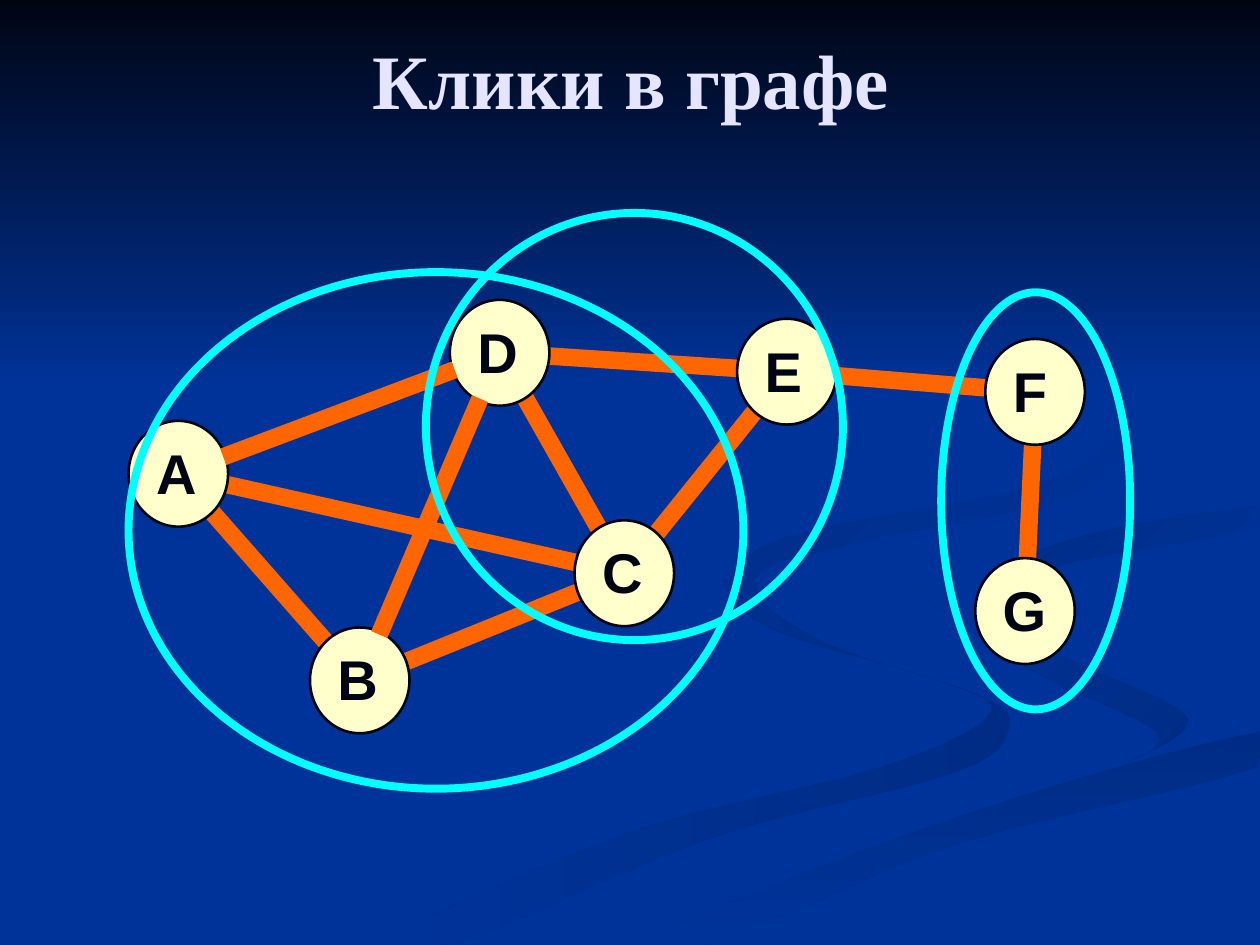
from dataclasses import dataclass

from lxml.etree import SubElement
from pptx import Presentation
from pptx.dml.color import RGBColor
from pptx.enum.shapes import MSO_CONNECTOR, MSO_SHAPE
from pptx.enum.text import MSO_ANCHOR, PP_ALIGN
from pptx.oxml.ns import qn
from pptx.util import Inches, Pt


@dataclass(frozen=True)
class Theme:
    blue: str = "003399"
    shade: str = "002C85"
    night: str = "000514"
    title: str = "E5E5FF"
    edge: str = "FF6600"
    node: str = "FFFFCC"
    clique: str = "00FFFF"
    serif: str = "Times New Roman"
    sans: str = "Arial"
    head: int = 44
    label: int = 32


THEME = Theme()
WIDE, HIGH = 10, 7.5
NODE_W, NODE_H = 0.79, 0.84
STEPS = 5  # curve points between two guide points

# Ribbons: guide points, first colour, last colour, clockwise angle
RIBBONS = [
    ([(7.81, 5.53), (6.54, 5.1), (5.75, 4.59), (6.11, 4.99), (7.41, 5.39),
      (7.86, 5.66), (6.99, 6.09), (4.99, 6.61), (3, 7.49), (3.61, 7.49),
      (5.64, 6.65), (7.56, 6.14), (8, 5.81)], THEME.shade, THEME.blue, 180),
    ([(9.43, 5.7), (8.5, 5.24), (7.24, 4.64), (8.15, 5.3), (9.18, 5.81),
      (8.94, 6.05)], THEME.shade, THEME.blue, 225),
    ([(5.03, 7.49), (5.71, 7.49), (7.52, 6.72), (9.98, 6.09), (9.98, 5.81),
      (7.64, 6.47)], THEME.shade, THEME.blue, 90),
    ([(7.81, 4.6), (8.26, 4.96), (8.28, 4.53), (9.98, 4.2), (9.98, 4.02),
      (8.65, 4.24)], THEME.blue, THEME.shade, 225),
    ([(6.83, 4.3), (8.55, 3.91), (8.9, 3.24), (7.62, 2.33), (8.85, 3.2),
      (8.3, 3.82), (6.25, 4.26), (5.78, 4.68), (6.22, 5), (6.01, 4.56)],
     THEME.blue, THEME.shade, 225),
]

NODES = {
    "A": (1.02, 3.34), "B": (2.46, 4.98), "D": (3.57, 2.38), "C": (4.56, 4.13),
    "E": (5.85, 2.53), "F": (7.82, 2.69), "G": (7.74, 4.43),
}
UNDER = ["FG", "AB", "FE", "BC", "CE", "CD", "ED", "AC"]
OVER = ["AD", "BD"]
CLIQUES = [(7.47, 2.32, 1.5, 3.31), (3.38, 1.69, 3.31, 3.39),
           (1.02, 2.16, 4.88, 4.1)]


def color(code):
    return RGBColor.from_string(code)


def blend(a, b, c, d, t):
    """Catmull-Rom value between b and c."""
    return b + t / 2 * (c - a + t * (2 * a - 5 * b + 4 * c - d
                                     + t * (3 * (b - c) + d - a)))


def curve(guide):
    """Smooth closed outline that stays on the slide."""
    size = len(guide)
    for i in range(size):
        near = [guide[(i + k) % size] for k in (-1, 0, 1, 2)]
        for step in range(STEPS):
            x, y = (blend(*axis, step / STEPS) for axis in zip(*near))
            yield Inches(min(x, WIDE)), Inches(min(y, HIGH))


def shade(shape, first, last, angle):
    shape.shadow.inherit = False
    shape.line.fill.background()
    shape.fill.gradient()
    shape.fill.gradient_angle = (360 - angle) % 360
    for stop, code, place in zip(shape.fill.gradient_stops, (first, last), (0, 1)):
        stop.color.rgb = color(code)
        stop.position = place


def ribbon(slide, guide, first, last, angle):
    start, *rest = curve(guide)
    pen = slide.shapes.build_freeform(*start, scale=1.0)
    pen.add_line_segments(rest, close=True)
    shade(pen.convert_to_shape(), first, last, angle)


def edge(slide, pair, trim=0):
    """Join two node centres, cutting the share trim off each end."""
    (ax, ay), (bx, by) = [(x + NODE_W / 2, y + NODE_H / 2)
                          for x, y in map(NODES.get, pair)]
    dx, dy = (bx - ax) * trim, (by - ay) * trim
    ends = ax + dx, ay + dy, bx - dx, by - dy
    line = slide.shapes.add_connector(MSO_CONNECTOR.STRAIGHT, *map(Inches, ends))
    line.line.color.rgb = color(THEME.edge)
    line.line.width = Pt(10)
    SubElement(line._element.spPr, qn("a:effectLst"))


def oval(slide, box, stroke, width, fill=None):
    shape = slide.shapes.add_shape(MSO_SHAPE.OVAL, *map(Inches, box))
    shape.shadow.inherit = False
    shape.line.color.rgb = color(stroke)
    shape.line.width = Pt(width)
    if fill:
        shape.fill.solid()
        shape.fill.fore_color.rgb = color(fill)
    else:
        shape.fill.background()


def text(slide, words, box, face, size, code):
    frame = slide.shapes.add_textbox(*map(Inches, box)).text_frame
    frame.word_wrap = True
    frame.text = words
    para = frame.paragraphs[0]
    font = para.runs[0].font
    font.name, font.size, font.bold = face, Pt(size), True
    font.color.rgb = color(code)
    return frame, para


def title(slide, words):
    frame, para = text(slide, words, (0.51, 0, 9, 1.25),
                       THEME.serif, THEME.head, THEME.title)
    frame.vertical_anchor = MSO_ANCHOR.MIDDLE
    para.alignment = PP_ALIGN.CENTER


def node(slide, name, x, y):
    oval(slide, (x, y, NODE_W, NODE_H), THEME.night, 1.5, THEME.node)
    _, para = text(slide, name, (x + 0.12, y + 0.09, NODE_W, 0.64),
                   THEME.sans, THEME.label, THEME.night)
    para.space_before = Pt(4)


def main():
    deck = Presentation()
    deck.slide_width, deck.slide_height = Inches(WIDE), Inches(HIGH)
    slide = deck.slides.add_slide(deck.slide_layouts[6])

    # Backdrop: plain blue, ribbons, dark band across the top
    slide.background.fill.solid()
    slide.background.fill.fore_color.rgb = color(THEME.blue)
    for item in RIBBONS:
        ribbon(slide, *item)
    band = slide.shapes.add_shape(MSO_SHAPE.RECTANGLE, 0, 0,
                                  Inches(WIDE), Inches(3.08))
    shade(band, THEME.night, THEME.blue, 90)
    title(slide, "Клики в графе")

    # Graph
    for pair in UNDER:
        edge(slide, pair)
    for name, spot in NODES.items():
        node(slide, name, *spot)
    for pair in OVER:
        edge(slide, pair, 0.14)

    # Cliques
    for box in CLIQUES:
        oval(slide, box, THEME.clique, 4.5)

    deck.save("out.pptx")


if __name__ == "__main__":
    main()
